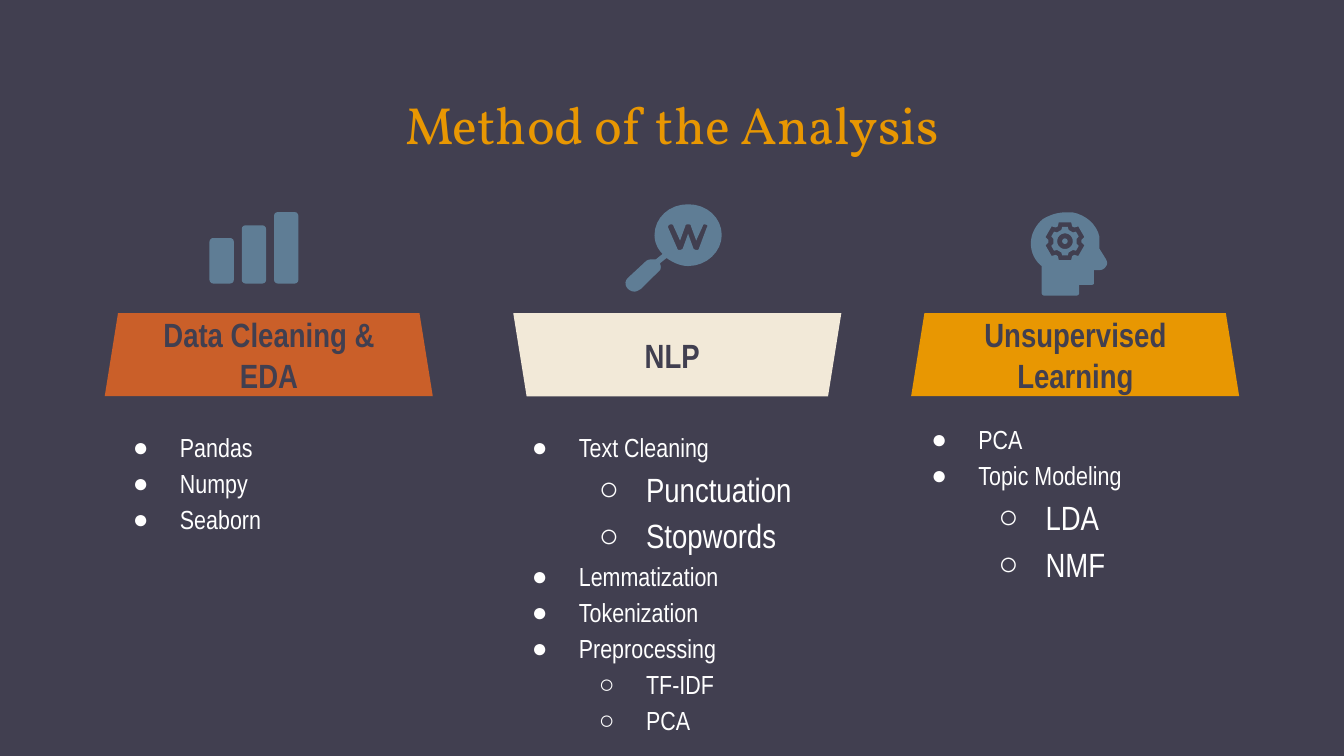
from dataclasses import dataclass
from math import cos, pi, sin

from lxml.etree import SubElement
from pptx import Presentation
from pptx.dml.color import RGBColor
from pptx.enum.shapes import MSO_SHAPE as Shape
from pptx.enum.text import MSO_ANCHOR as Anchor, MSO_AUTO_SIZE as AutoSize, PP_ALIGN as Align
from pptx.oxml.ns import qn
from pptx.util import Cm, Pt


@dataclass(frozen=True)
class Theme:
    dark: str = "413F50"
    orange: str = "CA5F29"
    cream: str = "F2E9D8"
    amber: str = "E89702"
    steel: str = "5F7D95"
    white: str = "FFFFFF"
    title_font: str = "Vollkorn"
    text_font: str = "Arial Narrow"
    title: int = 28
    large: int = 18
    small: int = 14


T = Theme()
UNIT = Cm(0.0254)  # icon drawing unit
INSET = Cm(0.25)

# Columns: heading, colour, banner x, banner rotation, label x, list placeholder, list x, list y
COLUMNS = [
    ("Data Cleaning & EDA", T.orange, 1.98, 0, 2.24, 1, 1.88, 7.82),
    ("NLP", T.cream, 9.7, 180, 9.86, 2, 9.42, 7.82),
    ("Unsupervised Learning", T.amber, 17.22, 0, 17.22 + 0.26, 3, 16.97, 7.67),
]

# List items: text, level, size
LISTS = [
    [("Pandas", 0, T.small), ("Numpy", 0, T.small), ("Seaborn", 0, T.small)],
    [("Text Cleaning", 0, T.small), ("Punctuation", 1, T.large),
     ("Stopwords", 1, T.large), ("Lemmatization", 0, T.small),
     ("Tokenization", 0, T.small), ("Preprocessing", 0, T.small),
     ("TF-IDF", 1, T.small), ("PCA", 1, T.small)],
    [("PCA", 0, T.small), ("Topic Modeling", 0, T.small),
     ("LDA", 1, T.large), ("NMF", 1, T.large)],
]

# Icon outlines: M start, L line, C curve
LETTER_W = """M 524 167 C 526 167 527 168 526 169 L 520 185 C 520 186 519 186 518 186
C 518 186 517 186 516 185 L 512 174 L 508 185 C 507 186 506 186 506 186
C 505 186 504 186 504 185 L 497 169 C 497 168 498 167 499 167 C 500 167 501 167 501 168
L 506 179 L 510 168 C 510 167 511 167 512 167 C 513 167 514 167 514 168
L 518 179 L 523 168 C 523 167 524 167 524 167"""
MAGNIFIER = """M 512 152 C 498 152 487 162 487 175 C 487 180 489 185 493 189 L 488 193
C 487 193 486 193 486 193 C 484 193 483 193 481 194 L 467 207 C 463 211 467 217 472 217
C 474 217 475 216 477 215 L 490 202 C 492 201 492 198 491 196 L 496 192
C 500 195 506 198 512 198 C 526 198 537 187 537 175 C 537 162 526 152 512 152"""
HEAD = """M 793 158 C 787 158 781 160 776 163 C 771 167 767 174 767 181
C 767 188 770 194 775 198 L 775 218 C 775 219 776 220 777 220 L 801 220
C 802 220 803 219 803 218 L 803 212 L 812 212 C 814 212 814 211 814 210 L 814 201
L 818 201 C 820 201 822 200 823 198 C 824 197 824 195 823 193 L 818 185
C 818 182 818 179 818 176 C 816 167 808 160 798 158 C 796 158 794 158 793 158"""
GEAR_CENTRE = (792.4, 179.5)


def outline(path, steps=8):
    """Turn a path string into points, sampling its curves."""
    points, tokens = [], iter(path.split())
    for command in tokens:
        count = 3 if command == "C" else 1
        ends = [(int(next(tokens)), int(next(tokens))) for _ in range(count)]
        if command != "C":
            points += ends
            continue
        curve = [points[-1], *ends]
        for i in range(1, steps + 1):
            t = i / steps
            weights = ((1 - t) ** 3, 3 * t * (1 - t) ** 2, 3 * t * t * (1 - t), t ** 3)
            points.append(tuple(sum(w * c[axis] for w, c in zip(weights, curve))
                                for axis in (0, 1)))
    return points


def polar(radius, degrees):
    x, y = GEAR_CENTRE
    return x + radius * sin(degrees * pi / 180), y - radius * cos(degrees * pi / 180)


def circle(radius):
    return [polar(radius, angle) for angle in range(0, 360, 10)]


def gear(tip, root, tip_angle, root_angle):
    """Six teeth, each a tip between two root points."""
    tooth = [(root, -root_angle), (tip, -tip_angle), (tip, tip_angle), (root, root_angle)]
    return [polar(r, k * 60 + a) for k in range(6) for r, a in tooth]


def rgb(value):
    return RGBColor.from_string(value)


def paint(shape, color):
    shape.shadow.inherit = False
    shape.fill.solid()
    shape.fill.fore_color.rgb = rgb(color)
    shape.line.fill.background()


def place(shape, x, y, w, h):
    for name, value in zip(("left", "top", "width", "height"), (x, y, w, h)):
        setattr(shape, name, Cm(value))


def prepare(shape, anchor):
    tf = shape.text_frame
    frame = dict(word_wrap=True, auto_size=AutoSize.NONE, vertical_anchor=anchor,
                 margin_left=INSET, margin_right=INSET, margin_top=INSET, margin_bottom=INSET)
    for name, value in frame.items():
        setattr(tf, name, value)
    return tf


def write(p, text, size, color, font=T.text_font, bold=False):
    r = p.add_run()
    r.text = text
    for name, value in dict(name=font, size=Pt(size), bold=bold).items():
        setattr(r.font, name, value)
    r.font.color.rgb = rgb(color)


def add_title(s, text):
    sp = s.shapes.title
    place(sp, 1.98, 1.5, 21.44, 1.93)
    p = prepare(sp, Anchor.TOP).paragraphs[0]
    p.alignment = Align.CENTER
    write(p, text, T.title, T.amber, T.title_font)


def add_banner(s, heading, color, x, rotation, label_x):
    sp = s.shapes.add_shape(Shape.TRAPEZOID, Cm(x), Cm(5.92), Cm(6.2), Cm(1.57))
    sp.adjustments[0] = 0.16
    sp.rotation = rotation
    paint(sp, color)
    label = s.shapes.add_textbox(Cm(label_x), Cm(5.92), Cm(5.69), Cm(1.57))
    p = prepare(label, Anchor.MIDDLE).paragraphs[0]
    p.alignment = Align.CENTER
    write(p, heading, T.large, T.dark, bold=True)


def add_bullet(p, level):
    pPr = p._p.get_or_add_pPr()
    pPr.set("marL", str(Cm(1.27 * (level + 1))))
    pPr.set("indent", str(Cm(-0.89)))
    SubElement(SubElement(pPr, qn("a:buClr")), qn("a:srgbClr"), val=T.white)
    SubElement(pPr, qn("a:buChar"), char="●○"[level])


def add_list(s, idx, x, y, items):
    sp = s.placeholders[idx]
    place(sp, x, y, 6.78, 5.2)
    tf = prepare(sp, Anchor.TOP)
    for i, (text, level, size) in enumerate(items):
        p = tf.add_paragraph() if i else tf.paragraphs[0]
        layout = dict(level=level, alignment=Align.LEFT, line_spacing=1.15,
                      space_before=Pt(0), space_after=Pt(0))
        for name, value in layout.items():
            setattr(p, name, value)
        add_bullet(p, level)
        write(p, text, size, T.white)


def add_outline(s, *contours):
    scaled = [[(x * UNIT, y * UNIT) for x, y in points] for points in contours]
    builder = s.shapes.build_freeform(*scaled[0][0])
    for i, (start, *rest) in enumerate(scaled):
        if i:
            builder.move_to(*start)
        builder.add_line_segments(rest, close=True)
    paint(builder.convert_to_shape(), T.steel)


def add_bars(s):
    for i, height in enumerate((0.86, 1.1, 1.35)):
        sp = s.shapes.add_shape(Shape.ROUNDED_RECTANGLE, Cm(3.96 + 0.61 * i),
                                Cm(5.36 - height), Cm(0.46), Cm(height))
        sp.adjustments[0] = 0.15
        paint(sp, T.steel)


def main():
    prs = Presentation()
    prs.slide_width, prs.slide_height = Cm(25.4), Cm(14.29)
    s = prs.slides.add_slide(prs.slide_layouts[4])
    s.background.fill.solid()
    s.background.fill.fore_color.rgb = rgb(T.dark)

    add_title(s, "Method of the Analysis")

    # Banners and lists
    for (heading, color, x, rotation, label_x, idx, list_x, y), items in zip(COLUMNS, LISTS):
        add_banner(s, heading, color, x, rotation, label_x)
        add_list(s, idx, list_x, y, items)
    spare = s.placeholders[4].element
    spare.getparent().remove(spare)

    # Icons: bars, magnifier, head with gear
    add_bars(s)
    add_outline(s, outline(MAGNIFIER), outline(LETTER_W))
    add_outline(s, outline(HEAD), gear(14.8, 12.3, 18, 26))
    add_outline(s, gear(10.8, 8.8, 11, 18), circle(5.8))
    add_outline(s, circle(2))

    prs.save("out.pptx")


if __name__ == "__main__":
    main()
